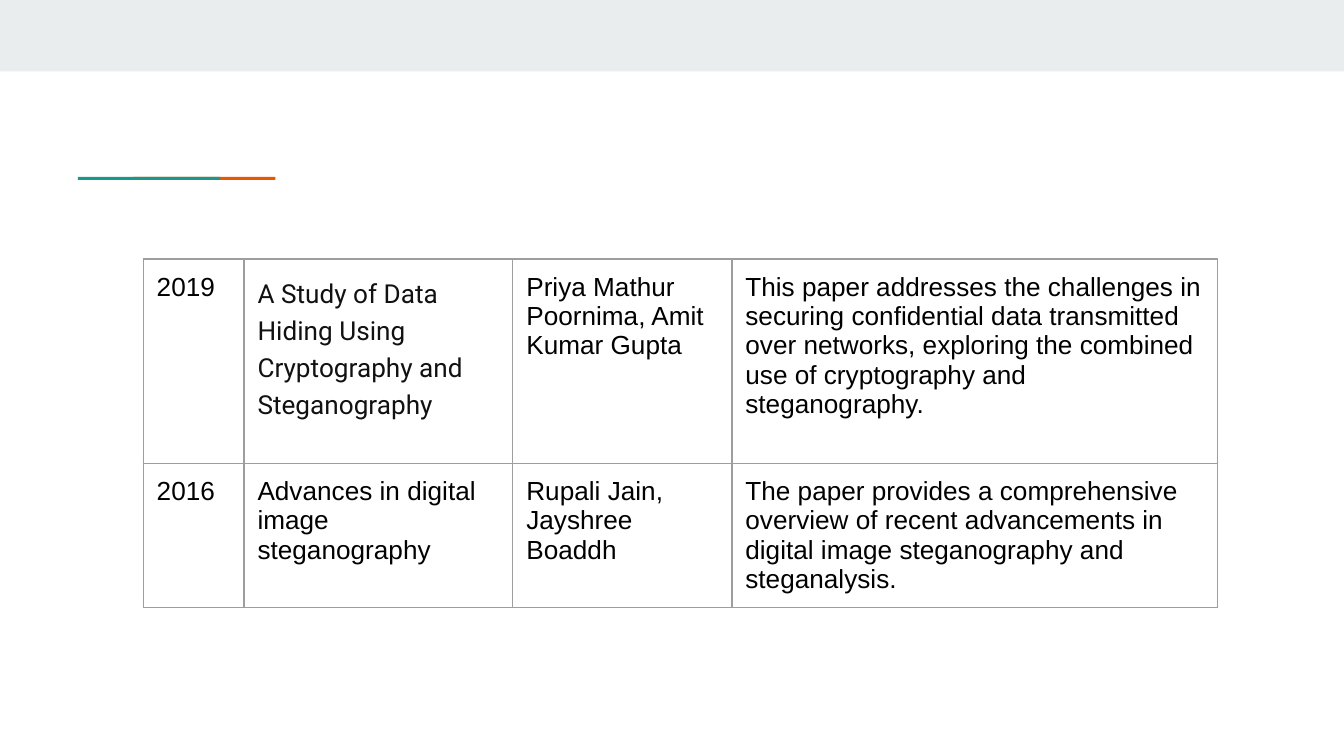
import pptx
import pptx.dml.color
import pptx.enum.shapes
import pptx.oxml
import pptx.oxml.ns
import pptx.util

WIDE = pptx.util.Inches(10)
HIGH = WIDE * 9 // 16
ROWS = [
    ["2019",
     "A Study of Data Hiding Using Cryptography and Steganography",
     "Priya Mathur Poornima, Amit Kumar Gupta",
     "This paper addresses the challenges in securing confidential data "
     "transmitted over networks, exploring the combined use of cryptography "
     "and steganography."],
    ["2016",
     "Advances in digital image steganography",
     "Rupali Jain, Jayshree Boaddh",
     "The paper provides a comprehensive overview of recent advancements in "
     "digital image steganography and steganalysis."],
]
COLS = [0.75, 2, 1.63, 3.61]
TALL = [1.52, 1.07]


def paint(part, tone):
    part.rgb = pptx.dml.color.RGBColor.from_string(tone)


def area(left, top, width, height):
    sides = zip((left, top, width, height), (WIDE, HIGH, WIDE, HIGH))
    return [int(share * side / 100) for share, side in sides]


def add_bar(slide, box, tone):
    bar = slide.shapes.add_shape(pptx.enum.shapes.MSO_SHAPE.RECTANGLE, *box)
    bar.shadow.inherit = False
    bar.fill.solid()
    paint(bar.fill.fore_color, tone)
    bar.line.fill.background()


def add_accent(slide, box):
    left, top, width, height = box
    length = int(width * 0.72)
    add_bar(slide, (left + width - length, top, length, height), "EB5600")
    add_bar(slide, (left, top, length, height), "1A9988")


def edge_cell(cell, tone):
    props = cell._tc.get_or_add_tcPr()
    space = pptx.oxml.ns.nsdecls("a")
    for spot, side in enumerate(["lnL", "lnR", "lnT", "lnB"]):
        props.insert(spot, pptx.oxml.parse_xml(
            f'<a:{side} {space} w="9525"><a:solidFill><a:srgbClr val="{tone}"/>'
            f'</a:solidFill></a:{side}>'))


def fill_cell(cell, text, font, tone, space):
    cell.fill.background()
    edge_cell(cell, "9E9E9E")
    inset = pptx.util.Inches(0.1)
    cell.margin_left = cell.margin_right = inset
    cell.margin_top = cell.margin_bottom = inset
    cell.text_frame.text = text
    para = cell.text_frame.paragraphs[0]
    para.line_spacing = space
    run = para.runs[0]
    run.font.size = pptx.util.Pt(14)
    run.font.name = font
    paint(run.font.color, tone)


def add_papers(slide, box):
    width, height = box[2:]
    table = slide.shapes.add_table(len(ROWS), len(COLS), *box).table
    table.first_row = table.horz_banding = False
    for col, share in zip(table.columns, COLS):
        col.width = int(width * share / sum(COLS))
    for row, share in zip(table.rows, TALL):
        row.height = int(height * share / sum(TALL))
    for r, texts in enumerate(ROWS):
        for c, text in enumerate(texts):
            style = ("Roboto", "111111", 1.2) if (r, c) == (0, 1) else ("Arial", "000000", 1.0)
            fill_cell(table.cell(r, c), text, *style)


def main():
    deck = pptx.Presentation()
    deck.slide_width, deck.slide_height = WIDE, HIGH
    slide = deck.slides.add_slide(deck.slide_layouts[6])
    add_bar(slide, area(0, 0, 100, 9.45), "E9EDEE")
    add_accent(slide, area(5.8, 23.4, 14.7, 0.4))
    add_papers(slide, area(10.66, 34.27, 79.9, 46.05))
    deck.save("out.pptx")


if __name__ == "__main__":
    main()
